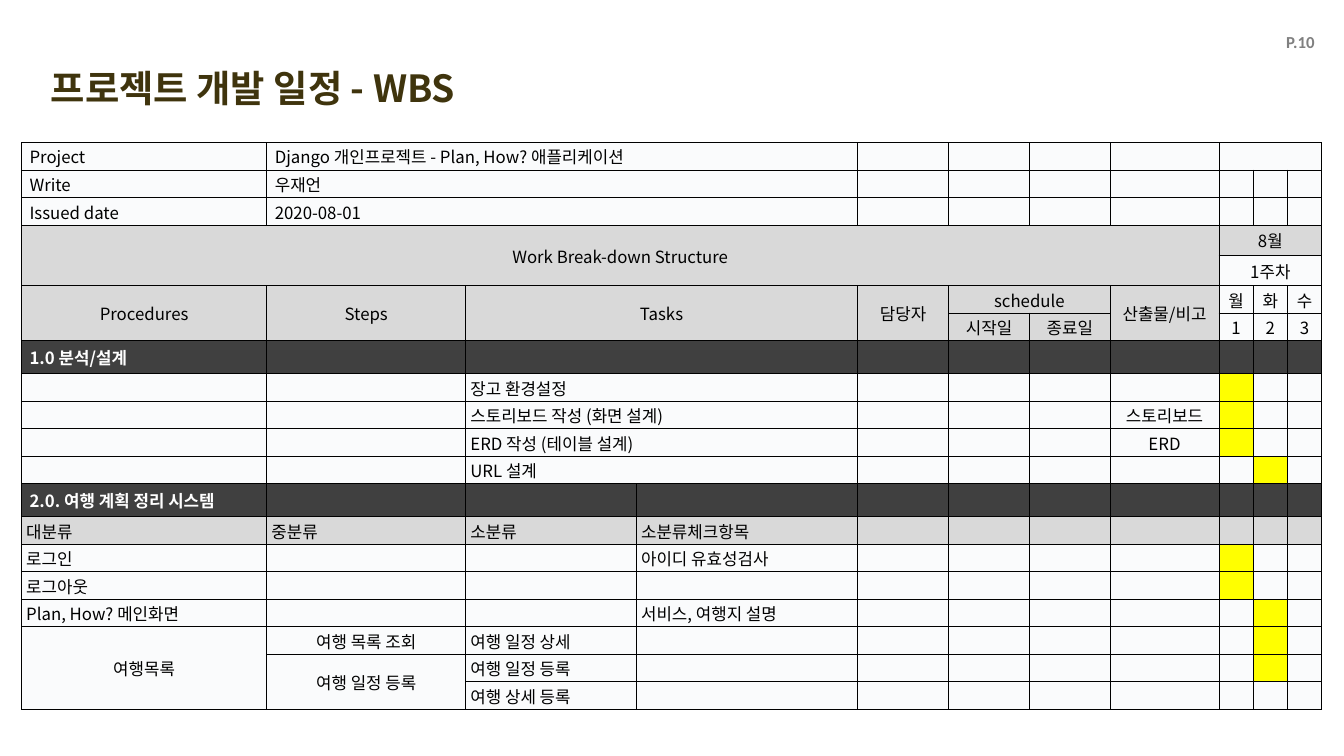
from lxml.etree import SubElement
from pptx import Presentation
from pptx.dml.color import RGBColor
from pptx.enum.text import MSO_ANCHOR, MSO_AUTO_SIZE, PP_ALIGN
from pptx.oxml import parse_xml
from pptx.oxml.ns import nsdecls, qn
from pptx.util import Inches, Pt

BLACK = RGBColor(0x00, 0x00, 0x00)
WHITE = RGBColor(0xFF, 0xFF, 0xFF)
PALE = RGBColor(0xFA, 0xFB, 0xFC)
LIGHT = RGBColor(0xD9, 0xD9, 0xD9)
DARK = RGBColor(0x40, 0x40, 0x40)
YELLOW = RGBColor(0xFF, 0xFF, 0x00)
BROWN = RGBColor(0x3F, 0x34, 0x0D)
GRAY = RGBColor(0x80, 0x80, 0x80)
NOTO = "Noto Sans CJK KR"

LABELS = [
    ("프로젝트 개발 일정 - WBS", (0.66, 0.92, 6.52, 0.77), 40, NOTO, BROWN),
    ("P.10", (19.04, 0.43, 0.63, 0.4), 18, "Calibri", GRAY),
]

ROWS = [
    {0: "Project", 1: "Django 개인프로젝트 - Plan, How? 애플리케이션"},
    {0: "Write", 1: "우재언"},
    {0: "Issued date", 1: "2020-08-01"},
    {0: "Work Break-down Structure", 8: "8월"},
    {8: "1주차"},
    {0: "Procedures", 1: "Steps", 2: "Tasks", 4: "담당자", 5: "schedule",
     7: "산출물/비고", 8: "월", 9: "화", 10: "수"},
    {5: "시작일", 6: "종료일", 8: "1", 9: "2", 10: "3"},
    {0: "1.0 분석/설계"},
    {2: "장고 환경설정"},
    {2: "스토리보드 작성 (화면 설계)", 7: "스토리보드"},
    {2: "ERD 작성 (테이블 설계)", 7: "ERD"},
    {2: "URL 설계"},
    {0: "2.0. 여행 계획 정리 시스템"},
    {0: "대분류", 1: "중분류", 2: "소분류", 3: "소분류체크항목"},
    {0: "로그인", 3: "아이디 유효성검사"},
    {0: "로그아웃"},
    {0: "Plan, How? 메인화면", 3: "서비스, 여행지 설명"},
    {0: "여행목록", 1: "여행 목록 조회", 2: "여행 일정 상세"},
    {1: "여행 일정 등록", 2: "여행 일정 등록"},
    {2: "여행 상세 등록"},
]
WIDTHS = [3.65, 2.96, 2.54, 3.29, 1.36, 1.2, 1.2, 1.62, 0.51, 0.51, 0.51]
HEIGHTS = {3: 0.45, 4: 0.45, 7: 0.49, 12: 0.49}
INFO, HEAD, PHASES, GROUPS = range(3), range(3, 7), (7, 12), 13
DAYS = {8: 8, 9: 8, 10: 8, 11: 9, 14: 8, 15: 8, 16: 9, 17: 9, 18: 9}
MERGES = [
    (0, 8, 0, 10), (3, 0, 4, 7), (3, 8, 3, 10), (4, 8, 4, 10),
    (5, 0, 6, 0), (5, 1, 6, 1), (5, 2, 6, 3), (5, 4, 6, 4),
    (5, 5, 5, 6), (5, 7, 6, 7), (17, 0, 19, 0), (18, 1, 19, 1),
]
MERGES += [(row, 1, row, 3) for row in INFO]
MERGES += [(row, 2, row, 3) for row in range(7, 12)]


def style(para, size, face, color, bold):
    for run in para.runs:
        font = run.font
        font.size, font.name, font.bold = Pt(size), face, bold
        font.color.rgb = color
        SubElement(run._r.get_or_add_rPr(), qn("a:ea"), typeface=face)


def tint(row, col):
    if row in PHASES:
        return DARK
    if DAYS.get(row) == col:
        return YELLOW
    if row == GROUPS or (row in HEAD and col < 8) or (row, col) == (3, 8):
        return LIGHT
    return PALE


def centered(row, col):
    return row in HEAD or col == 7 or (row >= 17 and col < 2)


def border(cell):
    props = cell._tc.get_or_add_tcPr()
    for spot, side in enumerate("LRTB"):
        props.insert(spot, parse_xml(
            f'<a:ln{side} {nsdecls("a")} w="12700"><a:solidFill>'
            f'<a:srgbClr val="{BLACK}"/></a:solidFill></a:ln{side}>'))


def fill_cell(cell, row, col):
    cell.fill.solid()
    cell.fill.fore_color.rgb = tint(row, col)
    border(cell)
    cell.vertical_anchor = MSO_ANCHOR.MIDDLE
    cell.margin_left = cell.margin_right = cell.margin_top = Inches(0.01)
    cell.margin_bottom = 0
    text = ROWS[row].get(col)
    if not text:
        return
    cell.text_frame.text = text
    para = cell.text_frame.paragraphs[0]
    if centered(row, col):
        para.alignment = PP_ALIGN.CENTER
    else:
        wide = row in INFO or row in PHASES
        cell.margin_left = Inches(0.12 if wide else 0.07)
    phase = row in PHASES
    style(para, 18, NOTO, WHITE if phase else BLACK, phase)


def add_grid(slide):
    tall = [HEIGHTS.get(row, 0.41) for row in range(len(ROWS))]
    frame = slide.shapes.add_table(
        len(ROWS), len(WIDTHS), Inches(0.32), Inches(2.12),
        Inches(sum(WIDTHS)), Inches(sum(tall)))
    table = frame.table
    table.first_row = table.horz_banding = False
    for col, width in enumerate(WIDTHS):
        table.columns[col].width = Inches(width)
    for row, height in enumerate(tall):
        table.rows[row].height = Inches(height)
        for col in range(len(WIDTHS)):
            fill_cell(table.cell(row, col), row, col)
    for top, left, bottom, right in MERGES:
        table.cell(top, left).merge(table.cell(bottom, right))


def add_label(slide, text, box, size, face, color):
    frame = slide.shapes.add_textbox(*map(Inches, box)).text_frame
    frame.word_wrap = False
    frame.auto_size = MSO_AUTO_SIZE.SHAPE_TO_FIT_TEXT
    frame.text = text
    style(frame.paragraphs[0], size, face, color, True)


def main():
    deck = Presentation()
    deck.slide_width, deck.slide_height = Inches(20), Inches(11.25)
    slide = deck.slides.add_slide(deck.slide_layouts[6])
    add_grid(slide)
    for label in LABELS:
        add_label(slide, *label)
    deck.save("out.pptx")


if __name__ == "__main__":
    main()
